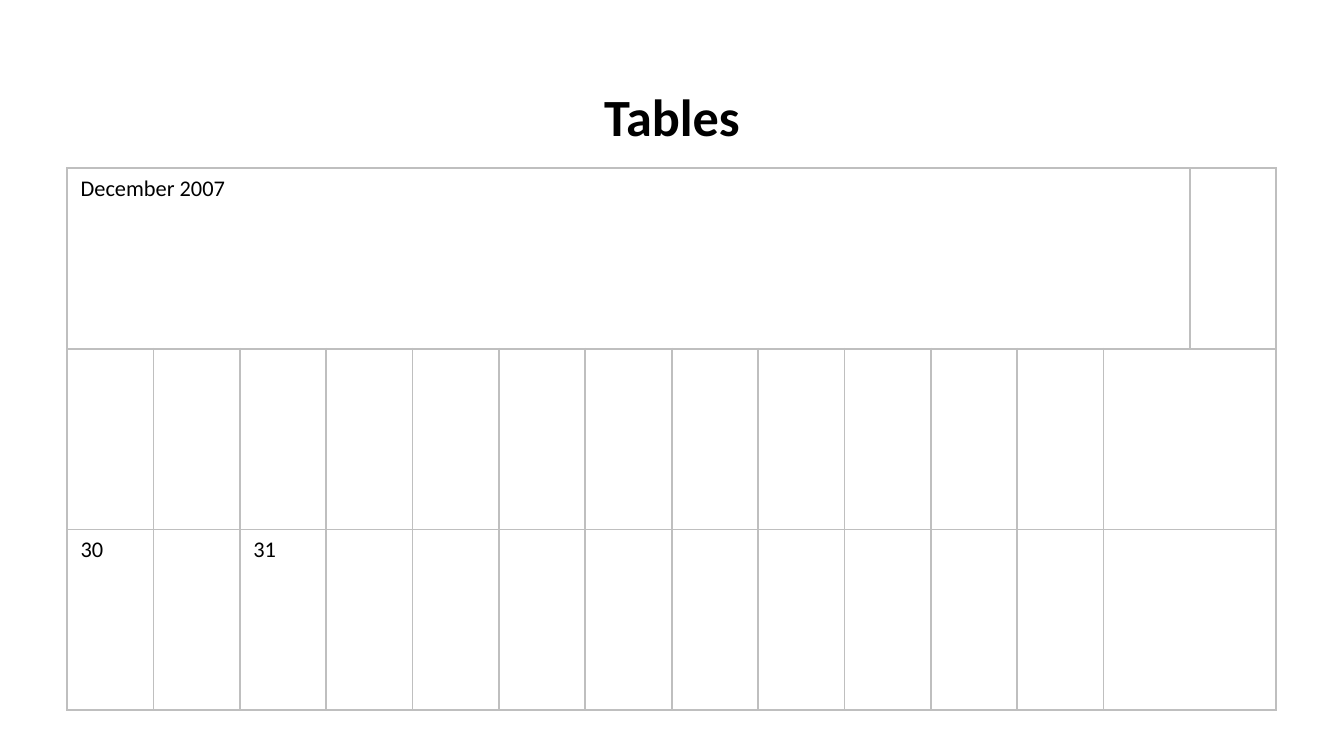
from lxml.etree import SubElement
from pptx import Presentation
from pptx.dml.color import RGBColor
from pptx.enum.text import MSO_ANCHOR, PP_ALIGN
from pptx.oxml import parse_xml
from pptx.oxml.ns import nsdecls
from pptx.util import Cm, Pt

BLACK = RGBColor(0x00, 0x00, 0x00)
GREY = RGBColor(0xBF, 0xBF, 0xBF)
COLS, ROWS = 14, 3
WIDTH, HEIGHT = Cm(22.86), Cm(10.24)


def style(para, size, bold):
    font = para.font
    font.name = "Calibri"
    font.size = Pt(size)
    font.bold = bold
    font.color.rgb = BLACK


def edge(cell):
    props = cell._tc.get_or_add_tcPr()
    for spot, side in enumerate(("lnL", "lnR", "lnT", "lnB")):
        line = parse_xml(
            f'<a:{side} {nsdecls("a")} w="{Pt(1.02)}"><a:solidFill>'
            f'<a:srgbClr val="{GREY}"/></a:solidFill></a:{side}>'
        )
        props.insert(spot, line)


deck = Presentation()
deck.slide_width = Cm(25.4)
deck.slide_height = Cm(14.29)
slide = deck.slides.add_slide(deck.slide_layouts[6])

title = slide.shapes.add_textbox(Cm(1.27), Cm(0.79), WIDTH, Cm(1.98))
frame = title.text_frame
frame.word_wrap = True
frame.vertical_anchor = MSO_ANCHOR.BOTTOM
frame.margin_left = frame.margin_right = 0
frame.margin_top = frame.margin_bottom = 0
head = frame.paragraphs[0]
head.text = "Tables"
head.alignment = PP_ALIGN.CENTER
style(head, 28, True)

grid = slide.shapes.add_table(ROWS, COLS, Cm(1.27), Cm(3.18), WIDTH, HEIGHT).table
grid.first_row = False
grid.horz_banding = False
for col in grid.columns:
    col.width = WIDTH // COLS
for row in grid.rows:
    row.height = HEIGHT // ROWS

words = {(0, 0): "December 2007", (2, 0): "30", (2, 2): "31"}
for r in range(ROWS):
    for c in range(COLS):
        cell = grid.cell(r, c)
        cell.text = words.get((r, c), "")
        style(cell.text_frame.paragraphs[0], 12, False)
        cell.fill.background()
        edge(cell)

for r, first, last in ((0, 0, 12), (1, 12, 13), (2, 12, 13)):
    grid.cell(r, first).merge(grid.cell(r, last))

deck.save("out.pptx")
